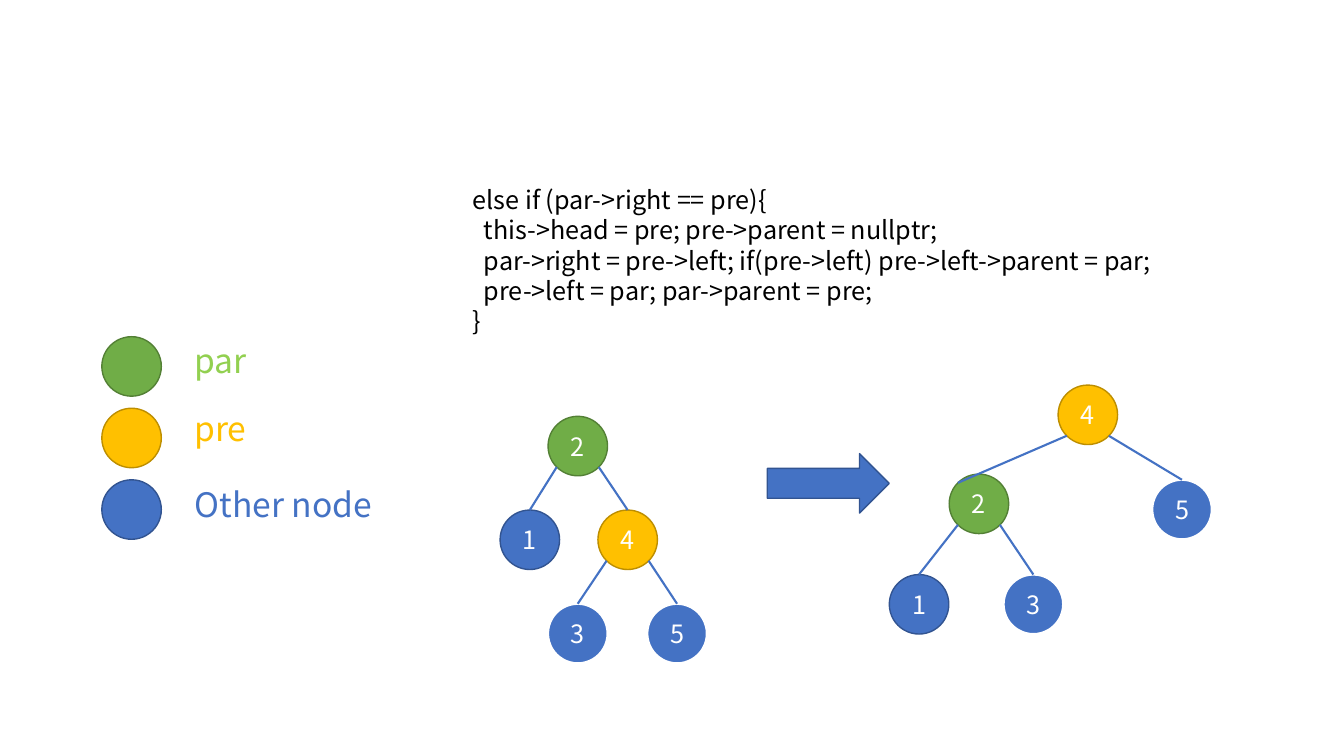
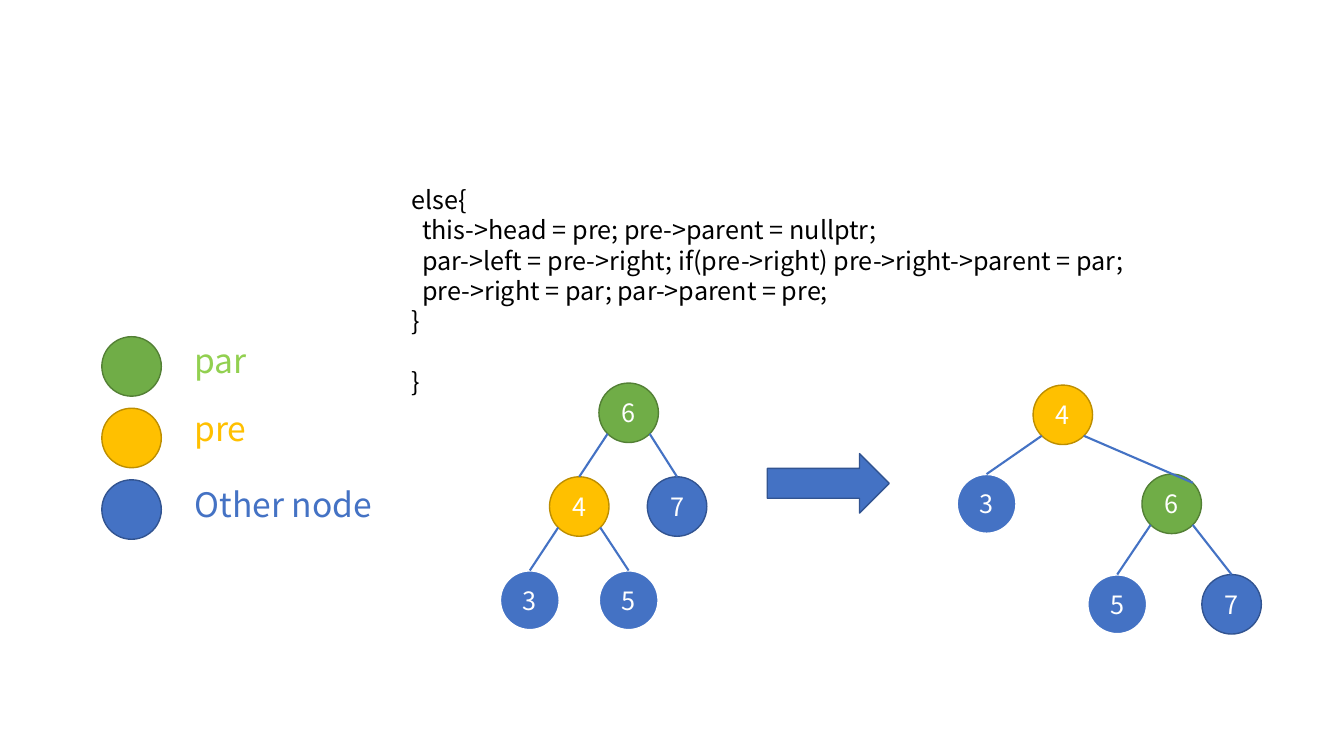
import pptx
import pptx.util
import pptx.dml.color
import pptx.enum.shapes
import pptx.enum.text
import pptx.oxml
import pptx.oxml.ns

KEYS = [("par", "par", 3.32, 1.32), ("pre", "pre", 4.0, 2.16), ("node", "Other node", 4.75, 2.16)]

# Lines of code: text, indent level, empty lines above.
SLIDES = [
    dict(
        code=[
            ("else if (par->right == pre){", 0, 0),
            ("this->head = pre; pre->parent = nullptr;", 1, 0),
            ("par->right = pre->left; if(pre->left) pre->left->parent = par;", 1, 0),
            ("pre->left = par; par->parent = pre;", 1, 0),
            ("}", 0, 0),
        ],
        box=(4.59, 1.78, 8.35, 1.62),
        trees=[
            dict(at=(4.96, 4.13), step=(0.49, 0.93), edges=["21", "24", "43", "45"],
                 nodes={"2": ("par", 0.97, 0), "4": ("pre", 1.98, 1), "1": ("node", 0, 1),
                        "5": ("leaf", 2.98, 2), "3": ("leaf", 0.97, 2)}),
            dict(at=(8.82, 3.82), step=(0.54, 0.94), edges=["42", "21", "45", "23"],
                 nodes={"2": ("par", 1.1, 0.94), "4": ("pre", 3.1, 0), "1": ("node", 0, 2),
                        "5": ("leaf", 4.83, 1), "3": ("leaf", 2.1, 2)}),
        ],
    ),
    dict(
        code=[
            ("else{", 0, 0),
            ("this->head = pre; pre->parent = nullptr;", 1, 0),
            ("par->left = pre->right; if(pre->right) pre->right->parent = par;", 1, 0),
            ("pre->right = par; par->parent = pre;", 1, 0),
            ("}", 0, 0),
            ("}", 0, 1),
        ],
        box=(3.98, 1.78, 8.97, 2.22),
        trees=[
            dict(at=(4.96, 3.8), step=(0.49, 0.93), edges=["67", "64", "43", "45"],
                 nodes={"6": ("par", 2, 0), "4": ("pre", 1, 1), "7": ("node", 2.98, 1),
                        "3": ("leaf", 0, 2), "5": ("leaf", 2, 2)}),
            dict(at=(9.49, 3.82), step=(0.54, 0.94), edges=["46", "67", "43", "65"],
                 nodes={"6": ("par", 3.4, 0.94), "4": ("pre", 1.4, 0), "7": ("node", 4.5, 2),
                        "3": ("leaf", 0, 0.94), "5": ("leaf", 2.4, 2)}),
        ],
    ),
]

THEME = dict(
    font="Noto Sans CJK SC", small=18, large=24, lead=1.2, tab=0.11, black="000000", white="FFFFFF",
    blue="4472C4", thin=1, thick=1.5,
    kinds=dict(par=("70AD47", "538035", 1), pre=("FFC000", "BD8E00", 1),
               node=("4472C4", "325491", 1), leaf=("4472C4", "FFFFFF", 1.5)),
    keys=dict(par="92D050", pre="FFC000", node="4472C4"),
)
SIZE = 0.59
NEAR = SIZE * (1 - 0.5 ** 0.5) / 2
FAR = SIZE - NEAR
KINDS = pptx.enum.shapes.MSO_SHAPE
ALIGN = pptx.enum.text.PP_ALIGN
inch = pptx.util.Inches


def tint(code):
    return pptx.dml.color.RGBColor.from_string(code)


def write(frame, lines, size=THEME["small"], color=THEME["black"], align=ALIGN.LEFT):
    lead = size * THEME["lead"]
    frame.word_wrap = True
    for n, (text, level, gap) in enumerate(lines):
        para = frame.paragraphs[0] if n == 0 else frame.add_paragraph()
        para.alignment = align
        para.line_spacing = pptx.util.Pt(lead)
        para.space_before = pptx.util.Pt(lead * gap)
        if level:
            props = para._p.get_or_add_pPr()
            props.set("marL", str(inch(level * THEME["tab"])))
            props.set("indent", "0")
        run = para.add_run()
        run.text = text
        run.font.name = THEME["font"]
        run.font.size = pptx.util.Pt(size)
        run.font.color.rgb = tint(color)


def label(slide, box, lines, **style):
    write(slide.shapes.add_textbox(*map(inch, box)).text_frame, lines, **style)


def shape(slide, form, box, kind, text=None):
    fill, edge, width = THEME["kinds"][kind]
    item = slide.shapes.add_shape(form, *map(inch, box))
    item.shadow.inherit = False
    item.fill.solid()
    item.fill.fore_color.rgb = tint(fill)
    item.line.color.rgb = tint(edge)
    item.line.width = pptx.util.Pt(width)
    if text:
        item.text_frame.vertical_anchor = pptx.enum.text.MSO_ANCHOR.MIDDLE
        write(item.text_frame, [(text, 0, 0)], color=THEME["white"], align=ALIGN.CENTER)


def link(slide, start, end):
    line = slide.shapes.add_connector(pptx.enum.shapes.MSO_CONNECTOR.STRAIGHT,
                                      *map(inch, start + end))
    line.line.color.rgb = tint(THEME["blue"])
    line.line.width = pptx.util.Pt(THEME["thick"])
    line._element.spPr.append(pptx.oxml.parse_xml(
        "<a:effectLst %s/>" % pptx.oxml.ns.nsdecls("a")))


def tree(slide, at, step, nodes, edges):
    spots = {}
    for name, (kind, col, row) in nodes.items():
        spots[name] = (at[0] + col * step[0], at[1] + row * step[1])
        shape(slide, KINDS.OVAL, spots[name] + (SIZE, SIZE), kind, name)
    for top, low in edges:
        (x, y), (u, v) = spots[top], spots[low]
        side = NEAR if u < x else FAR
        end = (u + side, v + NEAR) if nodes[low][0] == "par" else (u + SIZE / 2, v)
        link(slide, (x + side, y + FAR), end)


def legend(slide):
    for n, (kind, text, top, width) in enumerate(KEYS):
        shape(slide, KINDS.OVAL, (1.01, 3.34 + 0.71 * n, SIZE, SIZE), kind)
        label(slide, (1.83, top, width, 0.5), [(text, 0, 0)],
              size=THEME["large"], color=THEME["keys"][kind])


deck = pptx.Presentation()
deck.slide_width, deck.slide_height = inch(13.33), inch(7.5)
for page in SLIDES:
    slide = deck.slides.add_slide(deck.slide_layouts[6])
    legend(slide)
    shape(slide, KINDS.RIGHT_ARROW, (7.61, 4.5, 1.21, SIZE), "node")
    label(slide, page["box"], page["code"])
    for part in page["trees"]:
        tree(slide, **part)
deck.save("out.pptx")
